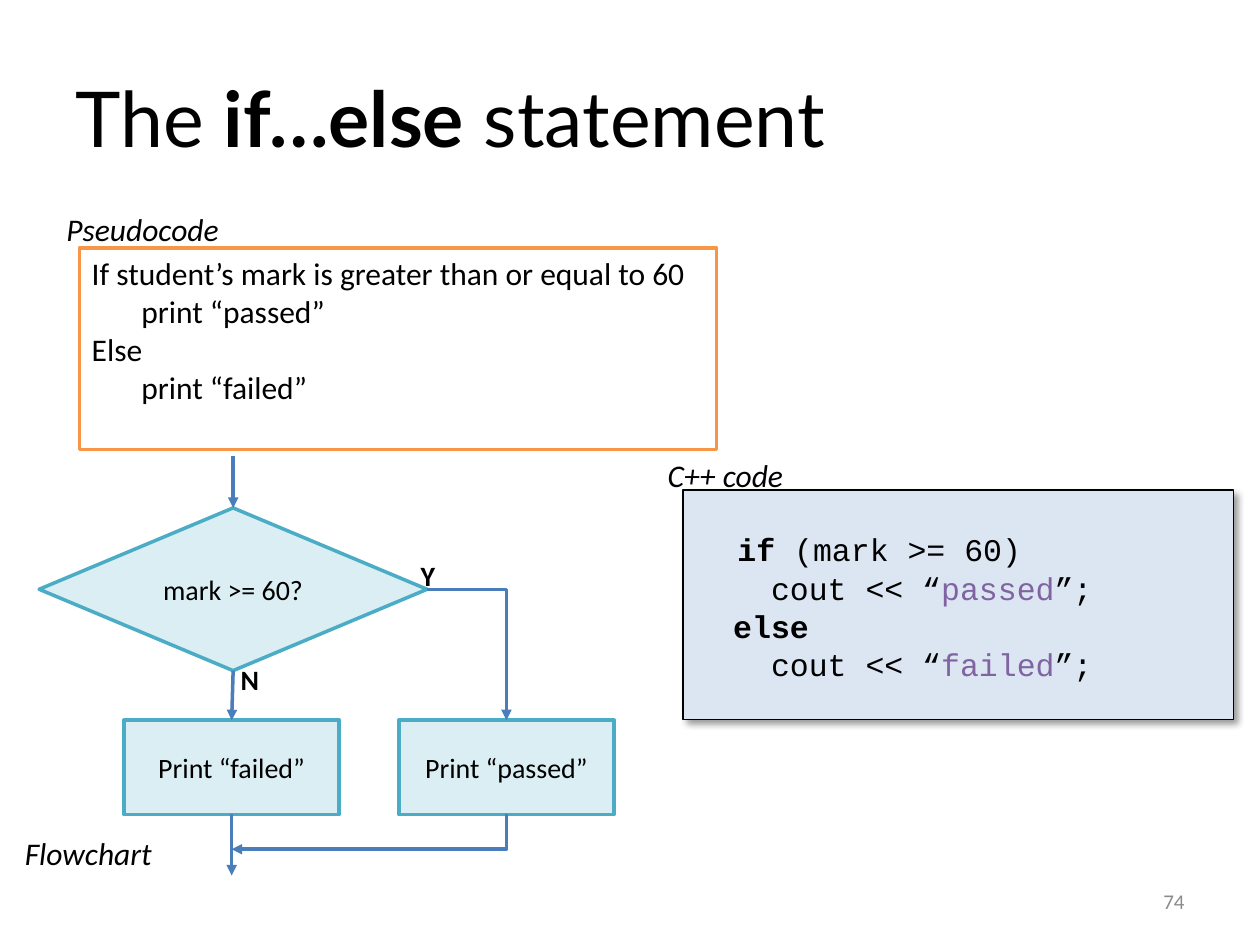
from dataclasses import dataclass

from lxml import etree
from pptx import Presentation, util as u
from pptx.dml.color import RGBColor
from pptx.enum import shapes, text
from pptx.oxml.ns import qn

Cm, Pt = u.Cm, u.Pt
KIND, ALIGN, ANCHOR = shapes.MSO_SHAPE, text.PP_ALIGN, text.MSO_ANCHOR


@dataclass(frozen=True)
class Theme:
    ink: str = "000000"
    grey: str = "8B8B8B"
    paper: str = "FFFFFF"
    orange: str = "F79646"
    teal: str = "4BACC6"
    pale: str = "DBEEF4"
    blue: str = "4A7EBB"
    panel: str = "DCE6F2"
    purple: str = "8064A2"
    head: str = "Lato"
    body: str = "Calibri"
    mono: str = "Courier New"
    title: int = 44
    large: int = 20
    text: int = 18
    node: int = 16
    small: int = 12
    line: float = 2


def write(frame, lines, align=ALIGN.LEFT, anchor=ANCHOR.TOP, **base):
    """Fill a frame; a line is a string or a list of (text, format) pairs."""
    frame.word_wrap = True
    frame.vertical_anchor = anchor
    for i, line in enumerate(lines):
        par = frame.paragraphs[0] if i == 0 else frame.add_paragraph()
        par.alignment = align
        for words, extra in [(line, {})] if isinstance(line, str) else line:
            look = {**base, **extra}
            run = par.add_run()
            run.text = words
            run.font.name = look["font"]
            run.font.size = Pt(look["size"])
            run.font.bold = look.get("bold", False)
            run.font.italic = look.get("italic", False)
            run.font.color.rgb = RGBColor.from_string(look["color"])


class Deck:
    def __init__(self, theme):
        self.theme = theme
        self.file = Presentation()
        self.file.slide_width, self.file.slide_height = Cm(25.4), Cm(19.05)
        self.slide = self.file.slides.add_slide(self.file.slide_layouts[5])

    def title(self, box, line):
        t, shape = self.theme, self.slide.shapes.title
        shape.left, shape.top, shape.width, shape.height = map(Cm, box)
        write(shape.text_frame, [line], anchor=ANCHOR.MIDDLE,
              font=t.head, size=t.title, color=t.ink)

    def label(self, box, words, **look):
        t = self.theme
        shape = self.slide.shapes.add_textbox(*map(Cm, box))
        base = dict(font=t.body, size=t.text, color=t.ink)
        write(shape.text_frame, [words], **{**base, **look})

    def block(self, kind, box, lines, fill, edge, width=None, **look):
        t = self.theme
        shape = self.slide.shapes.add_shape(kind, *map(Cm, box))
        shape.shadow.inherit = False
        shape.fill.solid()
        shape.fill.fore_color.rgb = RGBColor.from_string(fill)
        shape.line.color.rgb = RGBColor.from_string(edge)
        shape.line.width = Pt(width or t.line)
        base = dict(font=t.body, size=t.text, color=t.ink)
        write(shape.text_frame, lines, **{**base, **look})
        return shape

    def node(self, kind, box, words):
        t = self.theme
        self.block(kind, box, [words], t.pale, t.teal, size=t.node,
                   align=ALIGN.CENTER, anchor=ANCHOR.MIDDLE)

    def arrow(self, x1, y1, x2, y2, kind=shapes.MSO_CONNECTOR.STRAIGHT):
        link = self.slide.shapes.add_connector(kind, *map(Cm, (x1, y1, x2, y2)))
        link.line.color.rgb = RGBColor.from_string(self.theme.blue)
        link.line.width = Pt(self.theme.line)
        props = link.element.spPr
        etree.SubElement(props.find(qn("a:ln")), qn("a:tailEnd"), type="triangle")
        etree.SubElement(props, qn("a:effectLst"))
        return link

    def elbow(self, x1, y1, x2, y2):
        """One-bend arrow: across then down, or down then back to the left."""
        back = x2 < x1
        if back:
            # Lay out the frame unturned, around the same centre
            cx, cy = (x1 + x2) / 2, (y1 + y2) / 2
            w, h = y2 - y1, x1 - x2
            x1, y1, x2, y2 = cx - w / 2, cy - h / 2, cx + w / 2, cy + h / 2
        link = self.arrow(x1, y1, x2, y2, shapes.MSO_CONNECTOR.ELBOW)
        props = link.element.spPr
        props.find(qn("a:prstGeom")).set("prst", "bentConnector2")
        if back:
            props.find(qn("a:xfrm")).set("rot", str(90 * 60000))

    def shade(self, shape):
        effects = shape.element.spPr.find(qn("a:effectLst"))
        cast = etree.SubElement(effects, qn("a:outerShdw"), blurRad=str(Pt(4)),
                                dist=str(Pt(3)), dir=str(45 * 60000),
                                algn="tl", rotWithShape="0")
        tint = etree.SubElement(cast, qn("a:srgbClr"), val=self.theme.ink)
        etree.SubElement(tint, qn("a:alpha"), val="40000")


def main():
    t = Theme()
    deck = Deck(t)
    bold = {"bold": True}

    deck.title((1.27, 0.76, 22.86, 3.18),
               [("The ", {}), ("if…else", bold), (" statement", {})])

    # Pseudocode
    pseudo = deck.block(
        KIND.RECTANGLE, (1.6, 5, 12.85, 4.06),
        ["If student’s mark is greater than or equal to 60", "print “passed”",
         "Else", "print “failed”"], t.paper, t.orange)
    for par in pseudo.text_frame.paragraphs[1::2]:
        par._p.get_or_add_pPr().set("marL", str(Cm(1)))

    # Flowchart
    mid, wide, high = 4.67, 4.34, 1.9
    yes, row, test = 10.21, 14.52, 11.88
    deck.node(KIND.FLOWCHART_DECISION, (0.79, 10.24, 7.82, 3.28), "mark >= 60?")
    for x, words in ((yes, "Print “passed”"), (mid, "Print “failed”")):
        deck.node(KIND.FLOWCHART_PROCESS, (x - wide / 2, row, wide, high), words)
    deck.arrow(4.7, 9.2, 4.7, 10.24)
    deck.arrow(4.7, 13.52, mid, row)
    deck.arrow(mid, row + high, mid, 17.65)
    deck.elbow(8.61, test, yes, row)
    deck.elbow(yes, row + high, mid, 17.12)
    for x, y, words in ((8.23, 11.13, "Y"), (4.6, 13.23, "N")):
        deck.label((x, y, 0.97, 0.91), words, size=t.node, bold=True)

    # C++ code
    def cout(word):
        return [("    cout << “", {}), (word, {"color": t.purple}), ("”;", {})]

    code = deck.block(
        KIND.RECTANGLE, (13.77, 9.88, 11.1, 4.62),
        [[("  ", {"size": t.large}), ("if", bold), (" (mark >= 60)", {})],
         cout("passed"), [("  else", bold)], cout("failed")],
        t.panel, t.ink, width=0.75, font=t.mono, anchor=ANCHOR.MIDDLE)
    deck.shade(code)

    # Captions and page number
    for x, y, words in ((1.09, 4.11, "Pseudocode"), (13.21, 9.07, "C++ code"),
                        (0.25, 16.69, "Flowchart")):
        deck.label((x, y, 4, 1.02), words, italic=True)
    deck.label((18.21, 17.65, 5.92, 1.02), "74", size=t.small, color=t.grey,
               align=ALIGN.RIGHT, anchor=ANCHOR.MIDDLE)

    deck.file.save("out.pptx")


if __name__ == "__main__":
    main()
